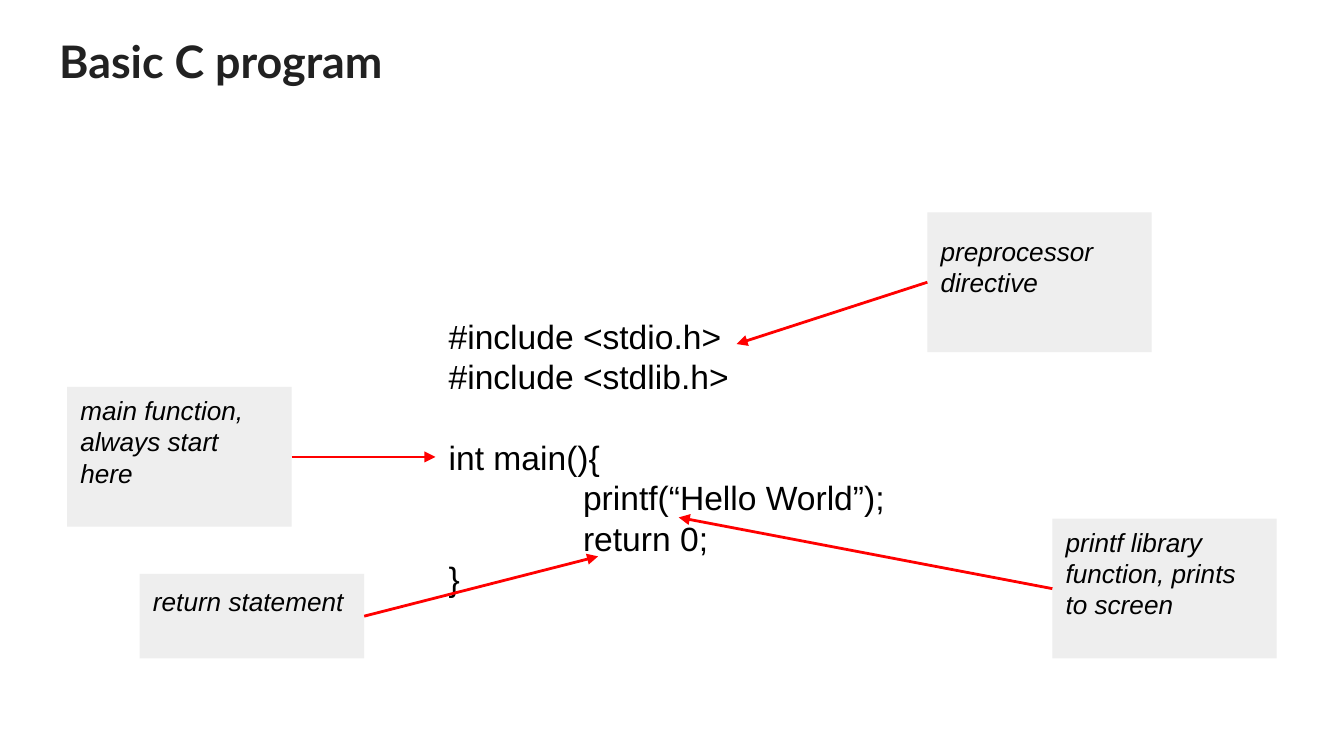
"""Build a slide that explains a basic C program with labelled arrows."""

from dataclasses import dataclass

from lxml.etree import SubElement
from pptx import Presentation
from pptx.dml.color import RGBColor
from pptx.enum.shapes import MSO_CONNECTOR, MSO_SHAPE
from pptx.enum.text import MSO_ANCHOR, MSO_AUTO_SIZE, PP_ALIGN
from pptx.oxml.ns import qn
from pptx.slide import Slide
from pptx.text.text import TextFrame
from pptx.util import Inches, Pt

COLORS = {"title": "212121", "text": "000000", "note": "EEEEEE", "arrow": "FF0000"}
SLIDE_WIDTH = Inches(10)
SLIDE_HEIGHT = SLIDE_WIDTH * 9 // 16
NOTE_WIDTH = 1.67
INSET = 0.1
LEFT_SIDE, RIGHT_SIDE = 1, 3


@dataclass(frozen=True)
class CodeLine:
    text: str
    indent: float = 0
    space_before: float = 0


@dataclass(frozen=True)
class Note:
    text: str
    left: float
    top: float
    height: float
    side: int
    target: tuple[float, float]


CODE = [
    CodeLine("#include <stdio.h>"),
    CodeLine("#include <stdlib.h>"),
    CodeLine("int main(){", space_before=21.6),
    CodeLine("printf(“Hello World”);", indent=1),
    CodeLine("return 0;", indent=1),
    CodeLine("}"),
]

NOTES = [
    Note("main function, always start here", 0.5, 2.88, 1.04, RIGHT_SIDE, (3.24, 3.4)),
    Note("return statement", 1.04, 4.27, 0.63, RIGHT_SIDE, (4.45, 4.14)),
    Note("printf library function, prints to screen", 7.83, 3.86, 1.04, LEFT_SIDE, (5.05, 3.85)),
    Note("preprocessor directive", 6.9, 1.58, 1.04, LEFT_SIDE, (5.48, 2.56)),
]


def color(name: str) -> RGBColor:
    return RGBColor.from_string(COLORS[name])


def format_frame(frame: TextFrame, anchor: MSO_ANCHOR, bottom: float = INSET) -> None:
    frame.word_wrap = True
    frame.auto_size = MSO_AUTO_SIZE.NONE
    frame.vertical_anchor = anchor
    frame.margin_left = frame.margin_right = frame.margin_top = Inches(INSET)
    frame.margin_bottom = Inches(bottom)


def format_paragraph(paragraph, size: float, font_name: str = "Arial", color_name: str = "text") -> None:
    paragraph.alignment = PP_ALIGN.LEFT
    paragraph.font.size = Pt(size)
    paragraph.font.name = font_name
    paragraph.font.color.rgb = color(color_name)


def add_title(slide: Slide, text: str) -> None:
    title = slide.shapes.title
    title.left, title.top = Inches(0.34), Inches(0.15)
    title.width, title.height = Inches(9.32), Inches(0.49)
    title.text_frame.text = text
    format_frame(title.text_frame, MSO_ANCHOR.TOP)
    paragraph = title.text_frame.paragraphs[0]
    format_paragraph(paragraph, 24, "Lato", "title")
    paragraph.font.bold = True


def add_code(slide: Slide, lines: list[CodeLine]) -> None:
    box = slide.shapes.add_textbox(Inches(3.24), Inches(1.76), Inches(4.06), Inches(3.28))
    frame = box.text_frame
    frame.text = "\n".join(line.text for line in lines)
    format_frame(frame, MSO_ANCHOR.MIDDLE)
    for paragraph, line in zip(frame.paragraphs, lines):
        format_paragraph(paragraph, 18)
        paragraph.space_before = Pt(line.space_before)
        properties = paragraph._p.get_or_add_pPr()
        properties.set("marL", str(Inches(line.indent)))
        properties.set("indent", "0")


def add_note(slide: Slide, note: Note):
    shape = slide.shapes.add_shape(
        MSO_SHAPE.RECTANGLE, Inches(note.left), Inches(note.top), Inches(NOTE_WIDTH), Inches(note.height)
    )
    shape.shadow.inherit = False
    shape.fill.solid()
    shape.fill.fore_color.rgb = color("note")
    shape.line.fill.background()
    shape.text_frame.text = note.text
    format_frame(shape.text_frame, MSO_ANCHOR.MIDDLE, bottom=0.33)
    paragraph = shape.text_frame.paragraphs[0]
    format_paragraph(paragraph, 14)
    paragraph.font.italic = True
    return shape


def add_arrow(slide: Slide, note: Note, shape) -> None:
    end_x, end_y = (Inches(value) for value in note.target)
    arrow = slide.shapes.add_connector(MSO_CONNECTOR.STRAIGHT, shape.left, shape.top, end_x, end_y)
    arrow.begin_connect(shape, note.side)
    arrow.line.color.rgb = color("arrow")
    arrow.line.width = Pt(1.5)
    SubElement(arrow.line._get_or_add_ln(), qn("a:tailEnd"), type="triangle")
    SubElement(arrow._element.spPr, qn("a:effectLst"))


def main() -> None:
    presentation = Presentation()
    presentation.slide_width, presentation.slide_height = SLIDE_WIDTH, SLIDE_HEIGHT
    slide = presentation.slides.add_slide(presentation.slide_layouts[5])
    add_title(slide, "Basic C program")
    add_code(slide, CODE)
    shapes = [add_note(slide, note) for note in NOTES]
    for note, shape in zip(NOTES, shapes):
        add_arrow(slide, note, shape)
    presentation.save("out.pptx")


if __name__ == "__main__":
    main()
